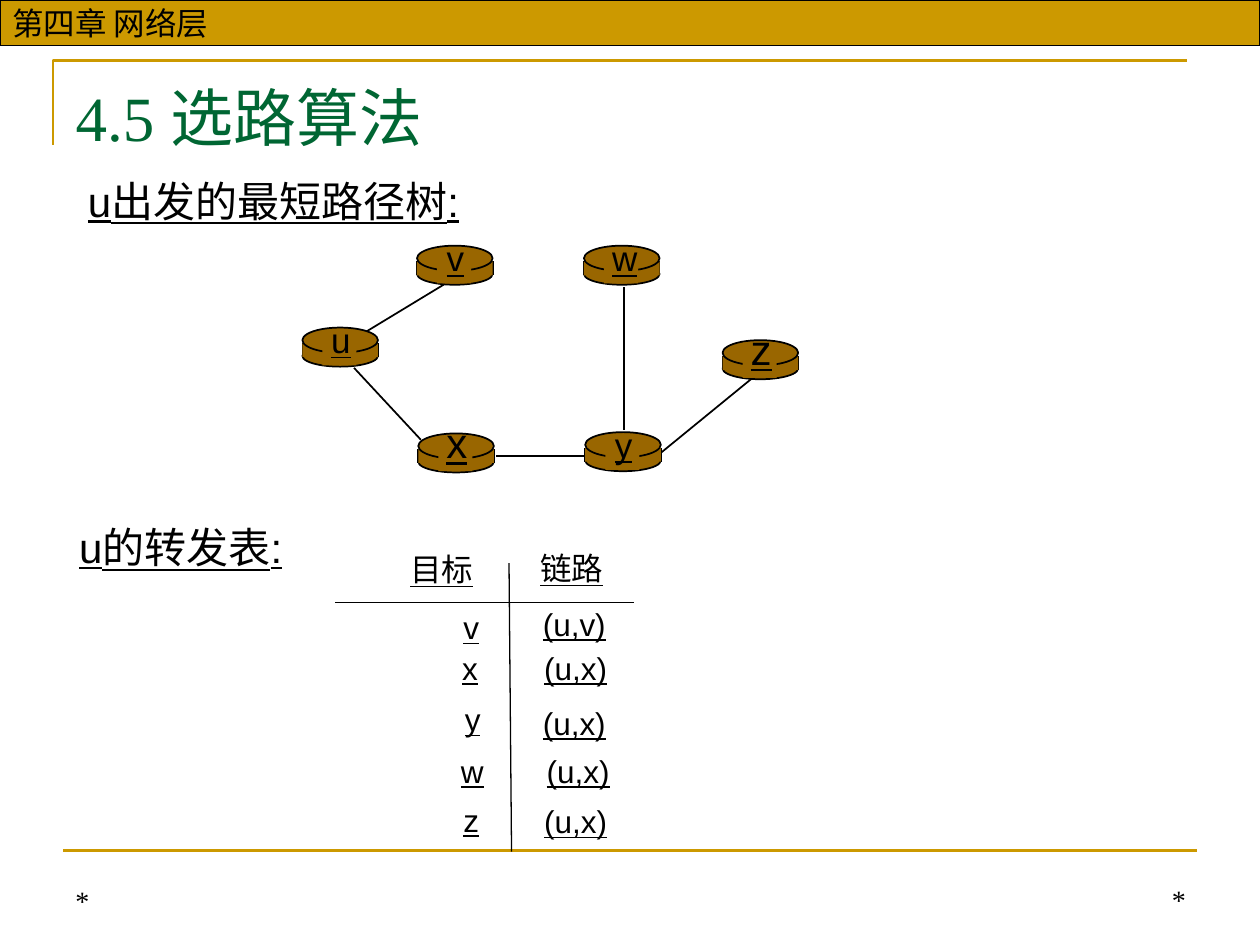
from pptx import Presentation
from pptx.dml.color import RGBColor
from pptx.enum.shapes import MSO_CONNECTOR, MSO_SHAPE
from pptx.enum.text import MSO_ANCHOR, MSO_AUTO_SIZE, PP_ALIGN
from pptx.oxml.ns import qn
from pptx.util import Inches, Pt
from lxml.etree import SubElement

BLACK = RGBColor(0x00, 0x00, 0x00)
GOLD = RGBColor(0xCC, 0x99, 0x00)
BROWN = RGBColor(0x99, 0x66, 0x00)
GREEN = RGBColor(0x00, 0x66, 0x33)
SERIF = "Times New Roman"
COLS, ROWS = 100, 75

ROUTERS = [("u", 24, 26, 20), ("x", 33.2, 34.4, 24), ("v", 33.1, 19.5, 20),
           ("w", 46.35, 19.5, 20), ("y", 46.45, 34.3, 20), ("z", 57.35, 27, 24)]
LINKS = [(29.1, 26.3, 35.7, 22.3), (49.5, 22.8, 49.5, 34.1), (52.5, 35.9, 59.6, 30.1),
         (46.5, 36.2, 39.4, 36.2), (33.4, 34.9, 28.1, 29.2)]
FORWARDING = [("目标", "链路", 31.6, 41.9, 43.2, 43.1),
              ("v", "(u,v)", 35.8, 42.1, 47.8, 47.5),
              ("x", "(u,x)", 35.7, 42.2, 51, 51),
              ("y", "(u,x)", 35.9, 42.1, 55.1, 55.4),
              ("w", "(u,x)", 35.6, 42.4, 59.2, 59.2),
              ("z", "(u,x)", 35.8, 42.2, 63.1, 63.2)]


def write(tf, text, size=18, font="Arial", color=BLACK, underline=None,
          align=PP_ALIGN.LEFT, anchor=MSO_ANCHOR.TOP, wrap=True):
    tf.word_wrap = wrap
    tf.auto_size = MSO_AUTO_SIZE.NONE if wrap else MSO_AUTO_SIZE.SHAPE_TO_FIT_TEXT
    tf.vertical_anchor = anchor
    p = tf.paragraphs[0]
    p.alignment = align
    r = p.add_run()
    r.text = text
    r.font.size, r.font.name, r.font.underline = Pt(size), font, underline
    r.font.color.rgb = color


class Deck:
    """Hold the style and the current slide, measured on a grid of COLS by ROWS."""

    def __init__(self):
        self.prs = Presentation()
        self.prs.slide_width, self.prs.slide_height = Inches(10), Inches(7.5)
        self.s = self.prs.slides.add_slide(self.prs.slide_layouts[5])

    def at(self, *lengths):
        units = self.prs.slide_width / COLS, self.prs.slide_height / ROWS
        return [round(n * units[i % 2]) for i, n in enumerate(lengths)]

    def title(self, text, *box):
        sp = self.s.shapes.title
        sp.left, sp.top, sp.width, sp.height = self.at(*box)
        write(sp.text_frame, text, size=36, font=SERIF, color=GREEN, anchor=MSO_ANCHOR.MIDDLE)

    def text(self, text, *box, **style):
        write(self.s.shapes.add_textbox(*self.at(*box)).text_frame, text, **style)

    def shape(self, kind, *box, fill=BROWN, width=None):
        sp = self.s.shapes.add_shape(kind, *self.at(*box))
        sp.shadow.inherit = False
        sp.fill.solid()
        sp.fill.fore_color.rgb = fill
        if width:
            sp.line.color.rgb, sp.line.width = BLACK, Pt(width)
        else:
            sp.line.fill.background()
        return sp

    def line(self, *ends, color=BLACK, width=1):
        cxn = self.s.shapes.add_connector(MSO_CONNECTOR.STRAIGHT, *self.at(*ends))
        cxn.line.color.rgb, cxn.line.width = color, Pt(width)
        SubElement(cxn._element.spPr, qn("a:effectLst"))

    def corner(self, left, top, right, bottom):
        start, turn, end = (self.at(*pt) for pt in ((left, bottom), (left, top), (right, top)))
        builder = self.s.shapes.build_freeform(*start)
        builder.add_line_segments([turn, end], close=False)
        sp = builder.convert_to_shape()
        sp.shadow.inherit = False
        sp.fill.background()
        sp.line.color.rgb, sp.line.width = GOLD, Pt(1.5)

    def router(self, name, x, y, size):
        self.shape(MSO_SHAPE.OVAL, x, y + 1.4, 6, 1.7, width=1)
        for side in (x, x + 6):
            self.line(side, y + 1.25, side, y + 2.35)
        self.shape(MSO_SHAPE.RECTANGLE, x, y + 1.25, 6, 1.1)
        self.shape(MSO_SHAPE.OVAL, x, y, 6, 2, width=1)
        self.shape(MSO_SHAPE.RECTANGLE, x + 1.6, y + 0.2, 2.7, 2.8)
        height = 4.4 if size == 20 else 5
        self.text(name, x + 1.25, y + 3.2 - height, 3.6, height, size=size,
                  underline=True, align=PP_ALIGN.CENTER, wrap=False)


def main():
    deck = Deck()
    deck.corner(4.2, 4.8, 94.2, 11.5)
    deck.line(5, 67.5, 95, 67.5, color=GOLD, width=1.5)
    bar = deck.shape(MSO_SHAPE.RECTANGLE, 0, 0, COLS, 3.6, fill=GOLD, width=0.75)
    write(bar.text_frame, "第四章 网络层", anchor=MSO_ANCHOR.MIDDLE)
    deck.title("4.5 选路算法", 5, 5.4, 90, 7.7)
    footer = dict(size=16, font=SERIF, anchor=MSO_ANCHOR.BOTTOM)
    deck.text("*", 5, 68.3, 23.3, 5, **footer)
    deck.text("*", 63.4, 68.2, 31.7, 5, align=PP_ALIGN.RIGHT, **footer)

    for link in LINKS:
        deck.line(*link)
    for router in ROUTERS:
        deck.router(*router)

    label = dict(underline=True, wrap=False)
    deck.text("u出发的最短路径树:", 6, 13.4, 33, 5, size=24, **label)
    deck.text("u的转发表:", 5.3, 40.9, 19.7, 5, size=24, **label)
    deck.line(40.4, 44.7, 40.6, 67.6, width=0.75)
    deck.line(26.6, 47.8, 50.3, 47.8, width=0.75)
    for target, link, x1, x2, y1, y2 in FORWARDING:
        target_width = {"目标": 7, "w": 3.8}.get(target, 3.2)
        deck.text(target, x1, y1, target_width, 4, **label)
        deck.text(link, x2, y2, 7, 4, **label)
    deck.prs.save("out.pptx")


if __name__ == "__main__":
    main()
